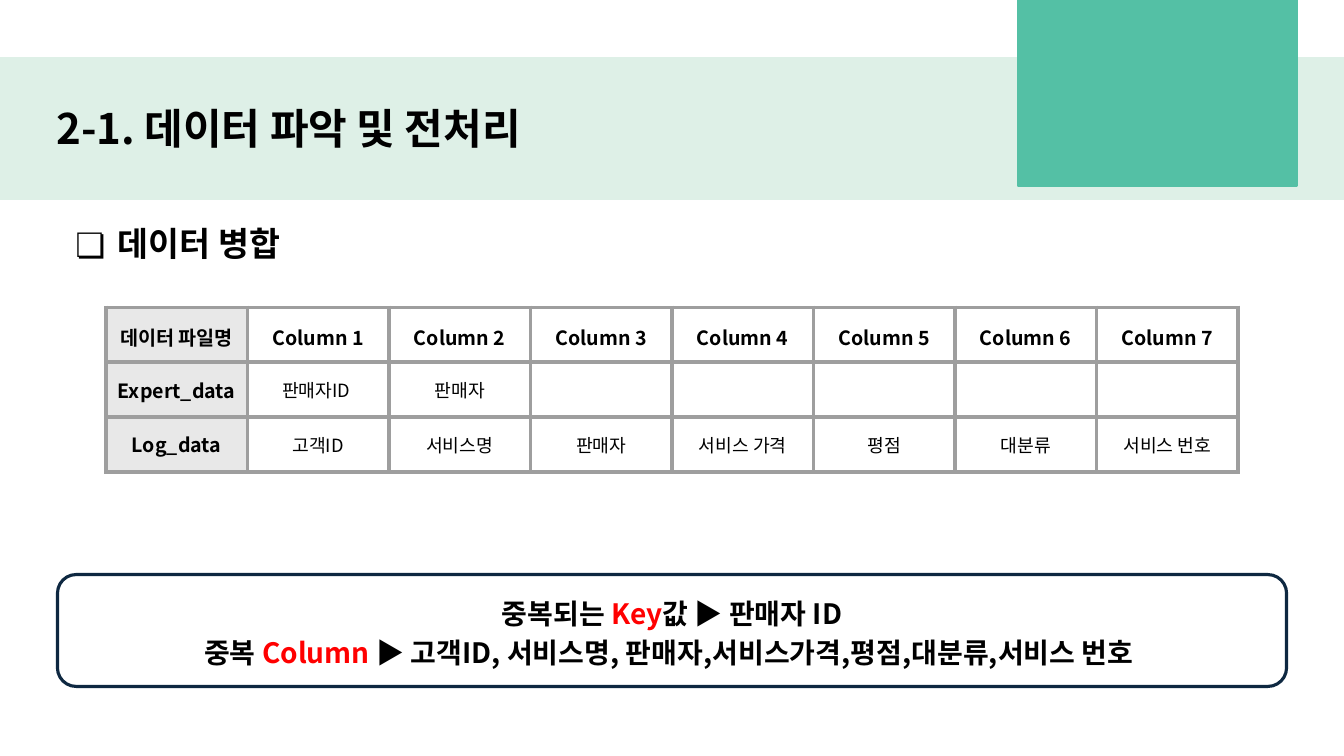
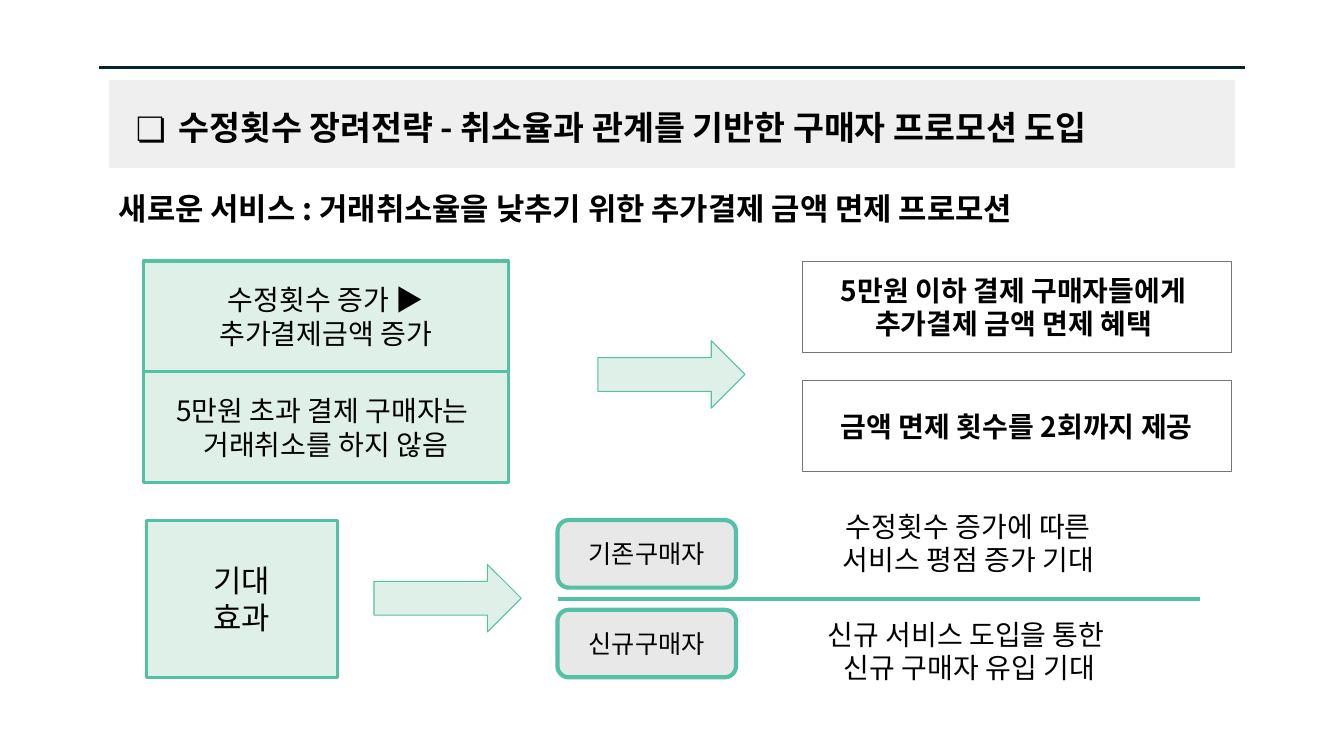
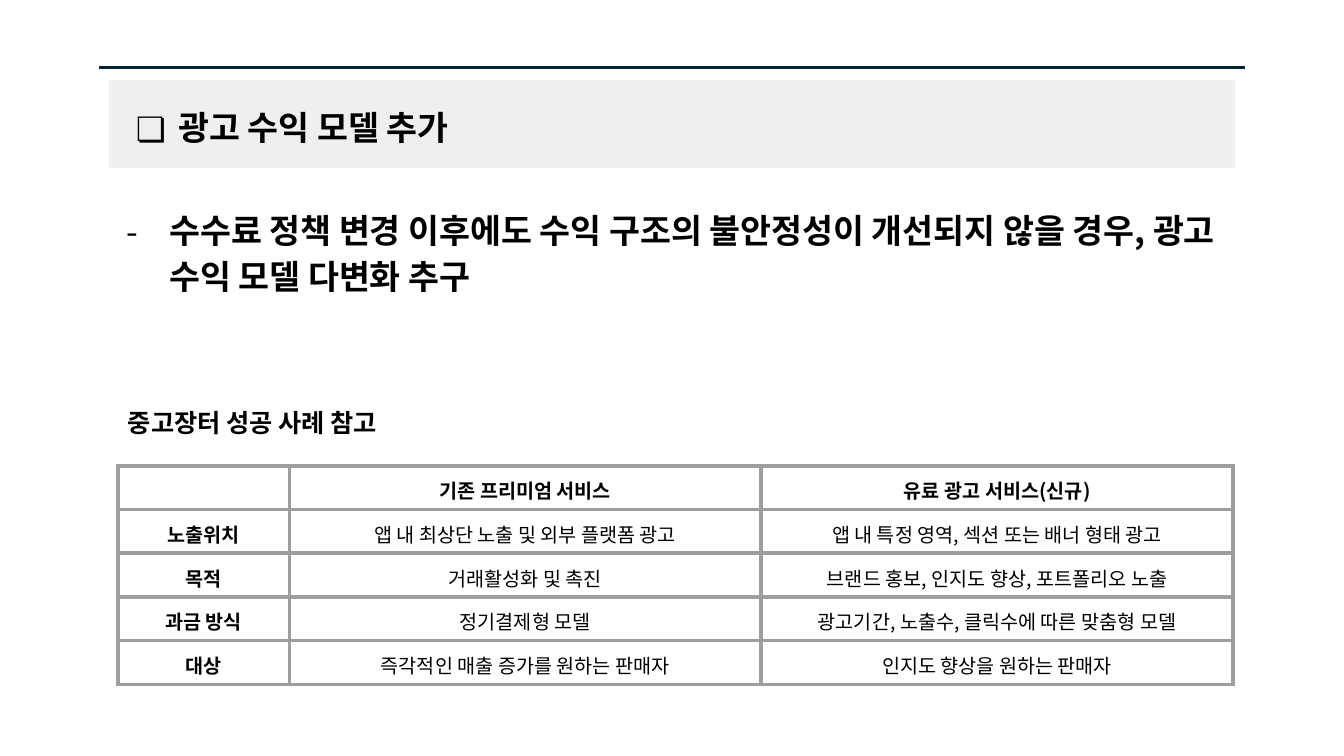
"""Builds three slides on data merging, a buyer promotion and an advertising model."""
from dataclasses import dataclass
from typing import Optional, Union

from lxml import etree
from pptx import Presentation
from pptx import util as u
from pptx.dml.color import RGBColor
from pptx.enum import shapes, text
from pptx.oxml.ns import qn
from pptx.shapes.autoshape import Shape
from pptx.slide import Slide
from pptx.text.text import _Paragraph as Paragraph
from pptx.text.text import TextFrame

SCALE = 9144
FONT = "Noto Sans CJK KR"
COLORS = {
    "ink": "000000",
    "red": "FF0000",
    "white": "FFFFFF",
    "mint": "DEF0E7",
    "teal": "54C0A5",
    "band": "EFEFEF",
    "label": "E8E8E8",
    "grid": "9E9E9E",
    "frame": "757575",
    "navy": "0E2841",
    "rule": "042433",
}
RECT = shapes.MSO_SHAPE.RECTANGLE
ROUND = shapes.MSO_SHAPE.ROUNDED_RECTANGLE
ARROW = shapes.MSO_SHAPE.RIGHT_ARROW
LEFT, CENTER = text.PP_ALIGN.LEFT, text.PP_ALIGN.CENTER
TOP, MIDDLE = text.MSO_ANCHOR.TOP, text.MSO_ANCHOR.MIDDLE


@dataclass(frozen=True)
class Span:
    text: str
    color: str = "ink"


Line = Union[str, tuple[Span, ...]]


@dataclass(frozen=True)
class Style:
    size: int
    bold: bool = False
    align: text.PP_ALIGN = CENTER
    anchor: text.MSO_ANCHOR = MIDDLE
    spacing: Optional[float] = None
    bullet: str = ""


@dataclass(frozen=True)
class Area:
    left: int
    top: int
    width: int
    height: int

    def emu(self) -> tuple[int, ...]:
        return tuple(px(n) for n in (self.left, self.top, self.width, self.height))


@dataclass(frozen=True)
class Look:
    kind: shapes.MSO_SHAPE
    fill: Optional[str]
    line: str
    weight: float


@dataclass(frozen=True)
class Grid:
    area: Area
    columns: tuple[int, ...]
    rows: tuple[tuple[str, ...], ...]
    body_size: int
    anchor: text.MSO_ANCHOR
    label_fill: Optional[str] = None
    header_spacing: Optional[float] = None


MINT_BOX = Look(RECT, "mint", "teal", 2.25)
MINT_ARROW = Look(ARROW, "mint", "teal", 0.75)
BUYER_BOX = Look(ROUND, "label", "teal", 3)
OFFER_BOX = Look(RECT, None, "frame", 0.75)
HEADING = Style(24, True, LEFT, TOP, bullet="❏")
NORMAL = Style(20)
STRONG = Style(20, True)


def px(length: int) -> u.Emu:
    return u.Emu(length * SCALE)


def rgb(name: str) -> RGBColor:
    return RGBColor.from_string(COLORS[name])


def add_bullet(para: Paragraph, mark: str) -> None:
    props = para._p.get_or_add_pPr()
    props.set("marL", str(px(50)))
    props.set("indent", str(px(-42)))
    color = etree.SubElement(props, qn("a:buClr"))
    etree.SubElement(color, qn("a:srgbClr"), val=COLORS["ink"])
    etree.SubElement(props, qn("a:buFont"), typeface=FONT)
    etree.SubElement(props, qn("a:buChar"), char=mark)


def write_line(para: Paragraph, line: Line, style: Style) -> None:
    if style.bullet:
        add_bullet(para, style.bullet)
    para.alignment = style.align
    if style.spacing:
        para.line_spacing = style.spacing
    if not line:
        etree.SubElement(para._p, qn("a:endParaRPr"), sz=str(style.size * 100))
        return
    for span in (Span(line),) if isinstance(line, str) else line:
        run = para.add_run()
        run.text = span.text
        run.font.size = u.Pt(style.size)
        run.font.bold = style.bold
        run.font.color.rgb = rgb(span.color)
        run.font.name = FONT
        etree.SubElement(run._r.get_or_add_rPr(), qn("a:ea"), typeface=FONT)


def write(frame: TextFrame, lines: tuple[Line, ...], style: Style) -> None:
    frame.word_wrap = True
    frame.vertical_anchor = style.anchor
    frame.margin_left = frame.margin_right = px(10)
    frame.margin_top = frame.margin_bottom = px(10)
    for index, line in enumerate(lines):
        para = frame.add_paragraph() if index else frame.paragraphs[0]
        write_line(para, line, style)


def draw_text(page: Slide, area: Area, style: Style, *lines: Line) -> None:
    box = page.shapes.add_textbox(*area.emu())
    write(box.text_frame, lines, style)


def draw_shape(page: Slide, area: Area, look: Look,
               style: Style = NORMAL, *lines: Line) -> Shape:
    shape = page.shapes.add_shape(look.kind, *area.emu())
    shape.shadow.inherit = False
    if look.fill:
        shape.fill.solid()
        shape.fill.fore_color.rgb = rgb(look.fill)
    else:
        shape.fill.background()
    shape.line.color.rgb = rgb(look.line)
    shape.line.width = u.Pt(look.weight)
    if lines:
        write(shape.text_frame, lines, style)
    return shape


def draw_rule(page: Slide, left: int, right: int, y: int, color: str, weight: float) -> None:
    rule = page.shapes.add_connector(
        shapes.MSO_CONNECTOR.STRAIGHT, px(left), px(y), px(right), px(y))
    rule.line.color.rgb = rgb(color)
    rule.line.width = u.Pt(weight)
    etree.SubElement(rule._element.spPr, qn("a:effectLst"))


def add_borders(props: etree._Element) -> None:
    for index, side in enumerate(("lnL", "lnR", "lnT", "lnB")):
        border = etree.Element(qn(f"a:{side}"), w=str(u.Pt(3)))
        fill = etree.SubElement(border, qn("a:solidFill"))
        etree.SubElement(fill, qn("a:srgbClr"), val=COLORS["grid"])
        props.insert(index, border)


def draw_grid(page: Slide, grid: Grid) -> None:
    frame = page.shapes.add_table(len(grid.rows), len(grid.columns), *grid.area.emu())
    table = frame.table
    table.first_row = table.horz_banding = False
    for column, share in zip(table.columns, grid.columns):
        column.width = px(grid.area.width) * share // sum(grid.columns)
    for r, row in enumerate(grid.rows):
        table.rows[r].height = px(grid.area.height) // len(grid.rows)
        for c, words in enumerate(row):
            cell = table.cell(r, c)
            title = r == 0 or c == 0
            style = Style(14 if title else grid.body_size, title, CENTER, grid.anchor,
                          grid.header_spacing if r == 0 else None)
            cell.vertical_anchor = style.anchor
            cell.margin_left = cell.margin_right = px(10)
            cell.margin_top = cell.margin_bottom = px(10)
            write_line(cell.text_frame.paragraphs[0], words, style)
            if grid.label_fill and c == 0:
                cell.fill.solid()
                cell.fill.fore_color.rgb = rgb(grid.label_fill)
            else:
                cell.fill.background()
            add_borders(cell._tc.get_or_add_tcPr())


def draw_section_header(page: Slide, heading: str) -> None:
    draw_shape(page, Area(108, 79, 1117, 88), Look(RECT, "band", "white", 0.75))
    draw_rule(page, 98, 1235, 67, "rule", 1.5)
    draw_text(page, Area(117, 96, 1036, 54), HEADING, heading)


def build_merge(page: Slide) -> None:
    draw_shape(page, Area(0, 58, 1333, 139), Look(RECT, "mint", "mint", 1.5))
    draw_shape(page, Area(1010, 0, 276, 185), Look(RECT, "teal", "teal", 1.5))
    draw_text(page, Area(46, 92, 952, 71), Style(30, True, LEFT, TOP),
              "2-1. 데이터 파악 및 전처리")
    draw_text(page, Area(57, 211, 1271, 61), HEADING, "데이터 병합")
    draw_grid(page, Grid(
        Area(105, 305, 1123, 163), (1,) * 8,
        (
            ("데이터 파일명", *(f"Column {n}" for n in range(1, 8))),
            ("Expert_data", "판매자ID ", "판매자", "", "", "", "", ""),
            ("Log_data", "고객ID", "서비스명", "판매자", "서비스 가격",
             "평점", "대분류", "서비스 번호"),
        ),
        13, MIDDLE, "label", 1.15))
    draw_shape(
        page, Area(57, 570, 1219, 111), Look(ROUND, "white", "navy", 2.25),
        Style(20, True, spacing=1.15),
        (Span("중복되는 "), Span("Key", "red"), Span("값 ▶ 판매자 ID")),
        (Span("중복 "), Span("Column", "red"),
         Span(" ▶ 고객ID, 서비스명, 판매자,서비스가격,평점,대분류,서비스 번호 ")))


def build_promotion(page: Slide) -> None:
    draw_section_header(page, "수정횟수 장려전략 - 취소율과 관계를 기반한 구매자 프로모션 도입")
    draw_text(page, Area(108, 178, 1117, 88), Style(22, True, LEFT, TOP),
              "새로운 서비스 : 거래취소율을 낮추기 위한 추가결제 금액 면제 프로모션")

    findings = (("수정횟수 증가 ▶추가결제금액 증가",),
                ("5만원 초과 결제 구매자는 ", "거래취소를 하지 않음"))
    for index, lines in enumerate(findings):
        draw_shape(page, Area(142, 259 + 110 * index, 362, 110), MINT_BOX, NORMAL, *lines)

    offers = (("5만원 이하 결제 구매자들에게 ", "추가결제 금액 면제 혜택 "),
              ("금액 면제 횟수를 2회까지 제공",))
    for index, lines in enumerate(offers):
        draw_shape(page, Area(796, 259 + 118 * index, 425, 91), OFFER_BOX, STRONG, *lines)

    for left, top in ((593, 338), (371, 560)):
        draw_shape(page, Area(left, top, 146, 67), MINT_ARROW)

    draw_shape(page, Area(145, 516, 190, 156), MINT_BOX, Style(22), "기대", "효과")
    draw_rule(page, 553, 1190, 594, "teal", 3)
    for index, buyer in enumerate(("기존구매자", "신규구매자")):
        draw_shape(page, Area(553, 516 + 89 * index, 177, 67), BUYER_BOX, Style(18), buyer)
    draw_text(page, Area(743, 495, 435, 91), Style(20, anchor=TOP),
              "수정횟수 증가에 따른", "서비스 평점 증가 기대")
    draw_text(page, Area(731, 588, 461, 115), NORMAL,
              "신규 서비스 도입을 통한 ", "신규 구매자 유입 기대")


def build_advertising(page: Slide) -> None:
    draw_section_header(page, "광고 수익 모델 추가")
    draw_text(page, Area(108, 192, 1117, 125),
              Style(24, True, LEFT, TOP, 1.15, "-"),
              "수수료 정책 변경 이후에도 수익 구조의 불안정성이 개선되지 않을 경우, "
              "광고 수익 모델 다변화 추구")
    draw_text(page, Area(117, 390, 390, 54), Style(18, True, LEFT, TOP, 1.15),
              "중고장터 성공 사례 참고")
    draw_grid(page, Grid(
        Area(117, 462, 1106, 217), (170, 468, 468),
        (
            ("", "기존 프리미엄 서비스", "유료 광고 서비스(신규)"),
            ("노출위치", "앱 내 최상단 노출 및 외부 플랫폼 광고",
             "앱 내 특정 영역, 섹션 또는 배너 형태 광고"),
            ("목적", "거래활성화 및 촉진", "브랜드 홍보, 인지도 향상, 포트폴리오 노출"),
            ("과금 방식", "정기결제형 모델", "광고기간, 노출수, 클릭수에 따른 맞춤형 모델"),
            ("대상", "즉각적인 매출 증가를 원하는 판매자", "인지도 향상을 원하는 판매자"),
        ),
        14, TOP))


def main() -> None:
    deck = Presentation()
    deck.slide_width, deck.slide_height = px(1333), px(750)
    for build in (build_merge, build_promotion, build_advertising):
        build(deck.slides.add_slide(deck.slide_layouts[6]))
    deck.save("out.pptx")


if __name__ == "__main__":
    main()
